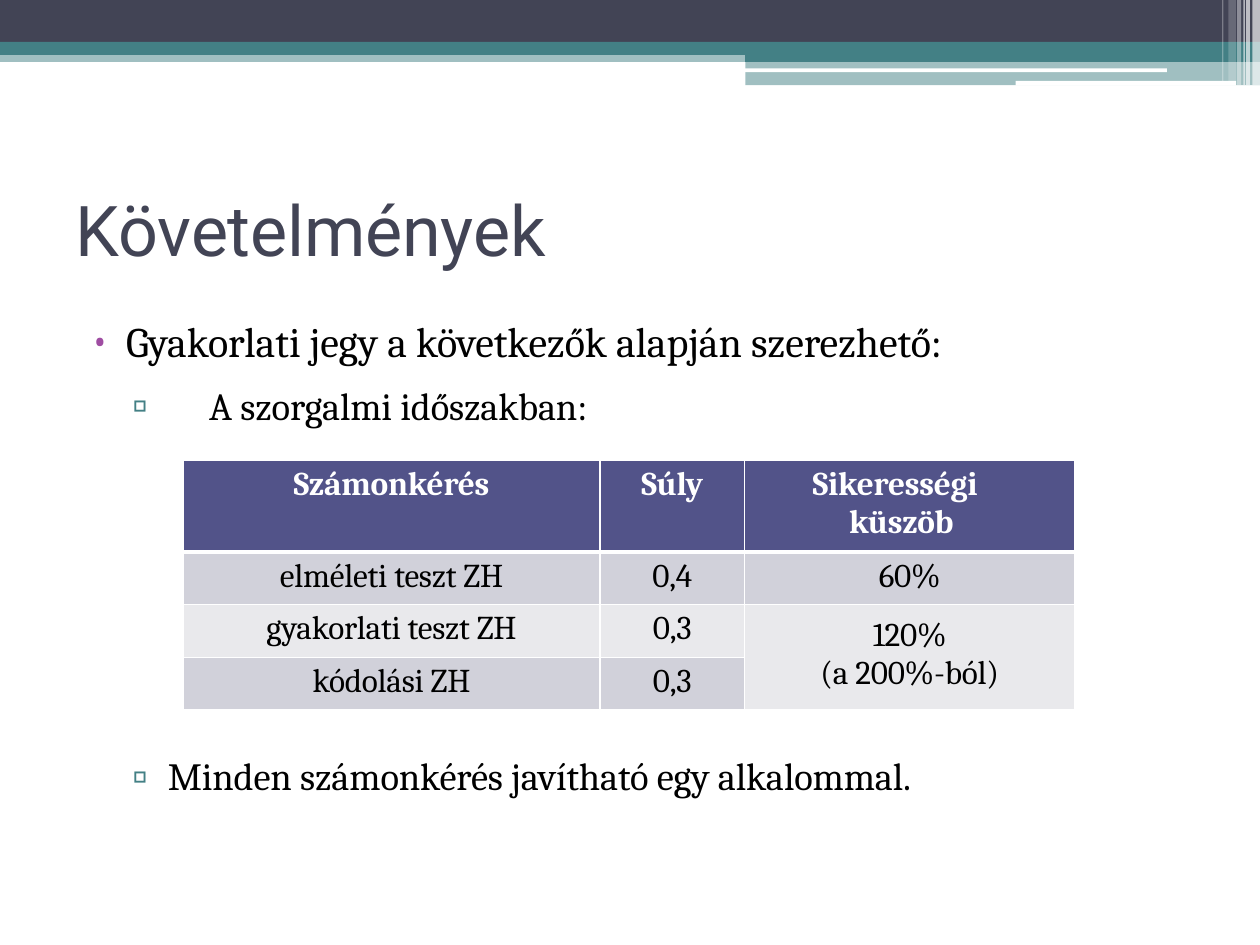
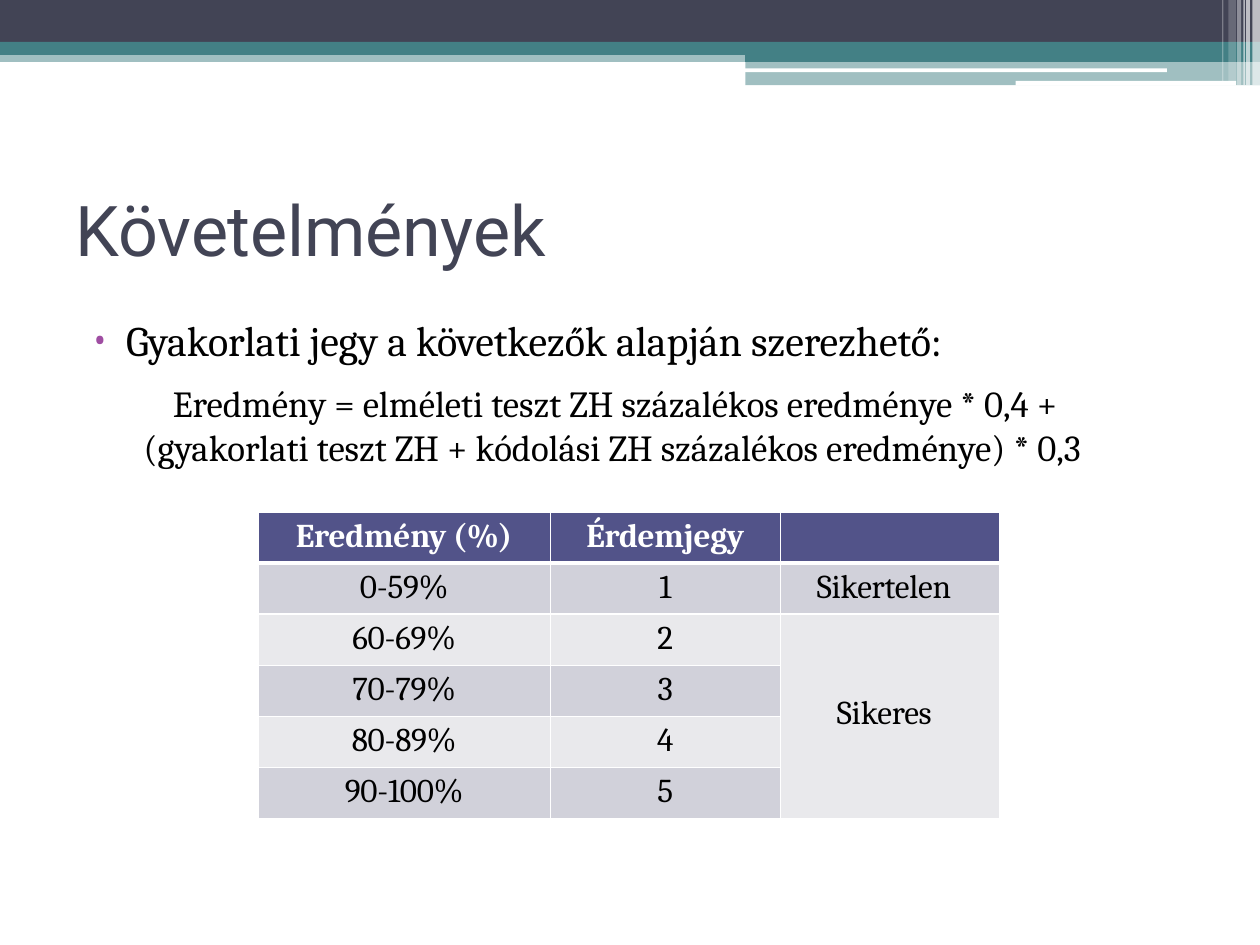
"""Build two slides on course requirements with a shared banded layout."""
from lxml import etree
from pptx import Presentation
from pptx.dml.color import RGBColor
from pptx.enum.text import MSO_ANCHOR, MSO_AUTO_SIZE, PP_ALIGN
from pptx.oxml.ns import qn
from pptx.util import Pt

LEFT, CENTER = PP_ALIGN.LEFT, PP_ALIGN.CENTER
TOP, MIDDLE = MSO_ANCHOR.TOP, MSO_ANCHOR.MIDDLE
NO_FIT = MSO_AUTO_SIZE.NONE

SLATE = RGBColor(0x42, 0x44, 0x55)
TEAL = RGBColor(0x43, 0x80, 0x85)
PURPLE = RGBColor(0x9F, 0x4D, 0xA2)
INDIGO = RGBColor(0x52, 0x53, 0x89)
DARK_ROW = RGBColor(0xD1, 0xD1, 0xDA)
LIGHT_ROW = RGBColor(0xE9, 0xE9, 0xEC)
WHITE = RGBColor(0xFF, 0xFF, 0xFF)
BLACK = RGBColor(0, 0, 0)


def add_text(para, text, size=19, colour=BLACK, font="Cambria", bold=False, spacing=-5,
             align=LEFT, before=0, margin=0, indent=0, bullet=None, bullet_colour=None):
    """Write formatted text into a paragraph."""
    para.alignment = align
    para.space_before = Pt(before)
    properties = para._p.get_or_add_pPr()
    properties.set("marL", str(Pt(margin)))
    properties.set("indent", str(Pt(indent)))
    if bullet:
        tint = etree.SubElement(properties, qn("a:buClr"))
        etree.SubElement(tint, qn("a:srgbClr"), val=str(bullet_colour))
        etree.SubElement(properties, qn("a:buFont"), typeface=font)
        etree.SubElement(properties, qn("a:buChar"), char=bullet)
    else:
        etree.SubElement(properties, qn("a:buNone"))
    span = para.add_run()
    span.text = text
    span.font.size = Pt(size)
    span.font.name = font
    span.font.bold = bold
    span.font.color.rgb = colour
    span._r.get_or_add_rPr().set("spc", str(spacing))


def rectangle(left, top, right, bottom):
    """Return the corners of a rectangle."""
    return [(left, top), (right, top), (right, bottom), (left, bottom)]


STEP = [(0, 24), (720, 24), (720, 35.4), (425.9, 35.4), (425.9, 31.4), (0, 31.4)]
BANDS = [
    (TEAL, 50, [rectangle(0, 31.4, 425.9, 35.4)]),
    (SLATE, 100, [rectangle(0, 0, 720, 24)]),
    (TEAL, 100, [STEP]),
    (TEAL, 50, [rectangle(425.9, 35.4, 720, 48.7)]),
    (WHITE, 100, [rectangle(425.7, 39.1, 666.8, 41.2), rectangle(580.4, 46.3, 706.3, 49)]),
    (WHITE, 65, [rectangle(712.1, 0, 714.2, 48.7), rectangle(715.7, 0, 720, 48.7)]),
    (WHITE, 60, [rectangle(710.6, 0, 711.4, 48.7)]),
    (WHITE, 40, [rectangle(707, 0, 709.2, 48.7)]),
    (WHITE, 20, [rectangle(702, 0, 706.3, 46.3)]),
    (WHITE, 30, [rectangle(698.4, 0, 699.1, 46.3)]),
]

INTRO = ("Gyakorlati jegy a következők alapján szerezhető:",
         dict(size=24, margin=20.9, indent=-20.2, bullet="•", bullet_colour=PURPLE))
FORMULA = ("Eredmény = elméleti teszt ZH százalékos eredménye * 0,4 + "
           "(gyakorlati teszt ZH + kódolási ZH százalékos eredménye) * 0,3")
SQUARE = dict(size=22, bullet="▫", bullet_colour=TEAL)

PAGES = [
    dict(
        body=(51.1, 169.2, 533, 76),
        lines=[INTRO, ("A szorgalmi időszakban:",
                       dict(SQUARE, before=9.1, margin=68.4, indent=-43.9))],
        corner=(104.6, 263.2),
        widths=[238.3, 82.6, 188.9],
        heights=[52.3] + [30.1] * 3,
        indents={(0, 2): (59.8, -20.9)},
        rows=[
            ["Számonkérés", "Súly", "Sikerességi küszöb"],
            ["elméleti teszt ZH", "0,4", "60%"],
            ["gyakorlati teszt ZH", "0,3", "120%\n(a 200%-ból)"],
            ["kódolási ZH", "0,3", ""],
        ],
    ),
    dict(
        body=(51.1, 168.5, 620, 101),
        lines=[INTRO, (FORMULA, dict(size=21, before=9, margin=31, indent=16.6, spacing=0))],
        corner=(147.4, 292.6),
        widths=[167.1, 131.4, 125.4],
        heights=[29.2] * 6,
        indents={(1, 2): (20.9, 0), (2, 2): (32.4, 0)},
        rows=[
            ["Eredmény (%)", "Érdemjegy", ""],
            ["0-59%", "1", "Sikertelen"],
            ["60-69%", "2", "Sikeres"],
            ["70-79%", "3", ""],
            ["80-89%", "4", ""],
            ["90-100%", "5", ""],
        ],
    ),
]

deck = Presentation()
deck.slide_width, deck.slide_height = Pt(720), Pt(540)
layout = deck.slide_layouts[1]
title_area = layout.placeholders[0]
title_area.left, title_area.top = Pt(42.5), Pt(105.8)
title_area.width, title_area.height = Pt(602.6), Pt(49.7)
pages = [deck.slides.add_slide(layout) for _ in PAGES]

for number, (colour, opacity, outlines) in enumerate(BANDS, start=20):
    builder = None
    for outline in outlines:
        corners = [(Pt(x), Pt(y)) for x, y in outline]
        if builder is None:
            builder = pages[0].shapes.build_freeform(*corners[0])
        else:
            builder.move_to(*corners[0])
        builder.add_line_segments(corners[1:], close=True)
    band = builder.convert_to_shape()
    band.shadow.inherit = False
    band.line.fill.background()
    band.fill.solid()
    band.fill.fore_color.rgb = colour
    if opacity < 100:
        tint = band.element.find(".//" + qn("a:srgbClr"))
        etree.SubElement(tint, qn("a:alpha"), val=str(opacity * 1000))
    band.element.nvSpPr.cNvPr.set("id", str(number))
    layout.shapes.element.append(band.element)

for page, content in zip(pages, PAGES):
    title, body = page.placeholders
    body.left, body.top, body.width, body.height = map(Pt, content["body"])
    for box, inset in ((title, 0.9), (body, 11)):
        frame = box.text_frame
        frame.auto_size = NO_FIT
        frame.word_wrap = True
        frame.vertical_anchor = TOP
        frame.margin_left = frame.margin_right = frame.margin_bottom = 0
        frame.margin_top = Pt(inset)
    add_text(title.text_frame.paragraphs[0], "Követelmények", size=40, colour=SLATE,
             font="Roboto", spacing=-10, margin=0.9)
    for index, (text, style) in enumerate(content["lines"]):
        frame = body.text_frame
        add_text(frame.add_paragraph() if index else frame.paragraphs[0], text, **style)

    widths, heights, rows = content["widths"], content["heights"], content["rows"]
    left, top = content["corner"]
    table = page.shapes.add_table(len(rows), len(widths), Pt(left), Pt(top),
                                  Pt(sum(widths)), Pt(sum(heights))).table
    table.horz_banding = False
    for column, width in zip(table.columns, widths):
        column.width = Pt(width)
    for row, height in zip(table.rows, heights):
        row.height = Pt(height)
    table.cell(2, 2).merge(table.cell(len(rows) - 1, 2))

    for r, texts in enumerate(rows):
        for c, text in enumerate(texts):
            cell = table.cell(r, c)
            merged = (r, c) == (2, 2)
            cell.margin_left = cell.margin_right = 0
            cell.margin_top = Pt(3)
            cell.margin_bottom = Pt(6 if merged else 0)
            cell.vertical_anchor = MIDDLE if merged else TOP
            cell.fill.solid()
            cell.fill.fore_color.rgb = (LIGHT_ROW, DARK_ROW)[r % 2] if r else INDIGO
            properties = cell._tc.get_or_add_tcPr()
            thick = {0: "lnB", 1: "lnT"}.get(r)
            for position, side in enumerate(("lnL", "lnR", "lnT", "lnB")):
                line = etree.Element(qn("a:" + side), w=str(Pt(3 if side == thick else 1)))
                paint = etree.SubElement(line, qn("a:solidFill"))
                etree.SubElement(paint, qn("a:srgbClr"), val=str(WHITE))
                properties.insert(position, line)
            margin, indent = content["indents"].get((r, c), (0, 0))
            frame = cell.text_frame
            for index, part in enumerate(text.split("\n") if text else []):
                add_text(frame.add_paragraph() if index else frame.paragraphs[0], part,
                         colour=BLACK if r else WHITE, bold=r == 0, spacing=-10,
                         align=LEFT if margin else CENTER, margin=margin, indent=indent)

retake_box = pages[0].shapes.add_textbox(Pt(74.9), Pt(429.1), Pt(483), Pt(28))
frame = retake_box.text_frame
frame.word_wrap = True
frame.margin_left = frame.margin_right = frame.margin_bottom = 0
frame.margin_top = Pt(0.9)
add_text(frame.paragraphs[0], "Minden számonkérés javítható egy alkalommal.",
         **SQUARE, margin=21, indent=-20.2)

deck.save("out.pptx")
